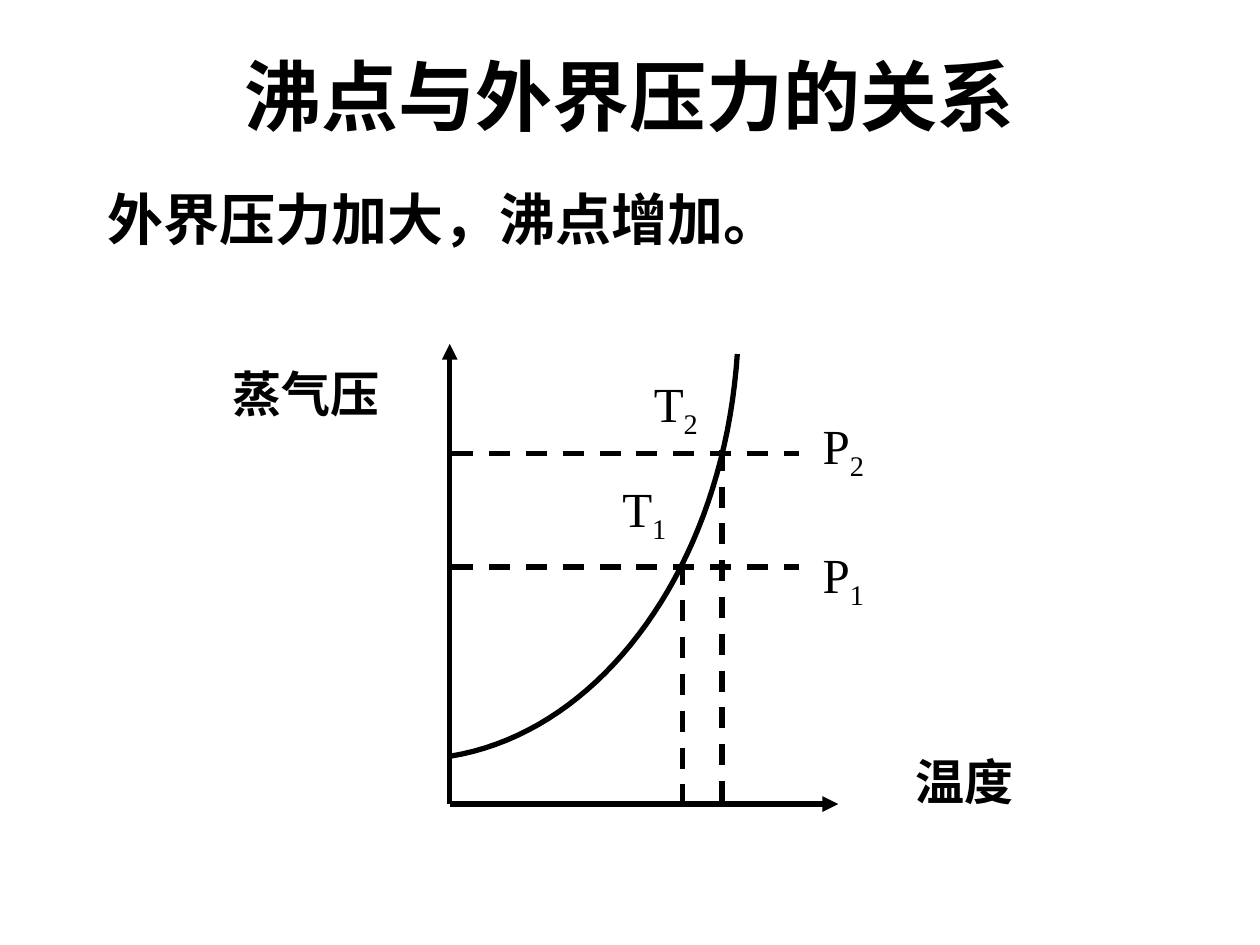
from dataclasses import dataclass

from lxml import etree
from pptx import Presentation
from pptx.dml.color import RGBColor
from pptx.enum.dml import MSO_LINE
from pptx.enum.shapes import MSO_CONNECTOR
from pptx.enum.text import MSO_ANCHOR, MSO_AUTO_SIZE, PP_ALIGN
from pptx.oxml.ns import qn
from pptx.util import Pt

STRAIGHT = MSO_CONNECTOR.STRAIGHT
DASH = MSO_LINE.DASH
TOP, MIDDLE = MSO_ANCHOR.TOP, MSO_ANCHOR.MIDDLE
LEFT, CENTER = PP_ALIGN.LEFT, PP_ALIGN.CENTER
FIT_SHAPE, NO_FIT = MSO_AUTO_SIZE.SHAPE_TO_FIT_TEXT, MSO_AUTO_SIZE.NONE


@dataclass(frozen=True)
class Theme:
    font: str = "Times New Roman"
    ink: RGBColor = RGBColor(0, 0, 0)
    title_size: int = 44
    body_size: int = 32
    label_size: int = 28
    line_width: int = 3


def set_all(target, values):
    for name, value in values.items():
        setattr(target, name, value)


class SlideBuilder:
    def __init__(self, page, theme):
        self.page = page
        self.theme = theme
        self.diagram = page.shapes.add_group_shape().shapes

    def add_span(self, para, text, size, bold, align=LEFT):
        set_all(para, {"alignment": align, "space_before": Pt(0)})
        span = para.add_run()
        span.text = text
        set_all(span.font, {"name": self.theme.font, "size": Pt(size), "bold": bold})
        span.font.color.rgb = self.theme.ink
        return span

    def placeholder(self, box, place, text, size, align, anchor):
        set_all(box, dict(zip(("left", "top", "width", "height"), map(Pt, place))))
        set_all(box.text_frame, {"vertical_anchor": anchor, "auto_size": NO_FIT})
        para = box.text_frame.paragraphs[0]
        properties = para._p.get_or_add_pPr()
        properties.set("marL", "0")
        properties.set("indent", "0")
        etree.SubElement(properties, qn("a:buNone"))
        self.add_span(para, text, size, True, align)

    def label(self, shapes, place, text, subscript=""):
        box = shapes.add_textbox(*map(Pt, place))
        set_all(box.text_frame, {"word_wrap": not subscript, "auto_size": FIT_SHAPE})
        para = box.text_frame.paragraphs[0]
        size = self.theme.label_size
        self.add_span(para, text, size, not subscript)
        if subscript:
            span = self.add_span(para, subscript, size, False)
            span._r.get_or_add_rPr().set("baseline", "-25000")

    def style_line(self, line):
        line.color.rgb = self.theme.ink
        line.width = Pt(self.theme.line_width)

    def line(self, start, end, dashed=False):
        connector = self.diagram.add_connector(STRAIGHT, *map(Pt, start + end))
        self.style_line(connector.line)
        if dashed:
            connector.line.dash_style = DASH
        else:
            etree.SubElement(connector.line._ln, qn("a:tailEnd"), type="triangle")
        etree.SubElement(connector._element.spPr, qn("a:effectLst"))

    def curve(self, controls, steps=40):
        """Draw a cubic Bezier curve as a fine open outline."""
        points = []
        for step in range(steps + 1):
            t = step / steps
            weights = ((1 - t) ** 3, 3 * t * (1 - t) ** 2, 3 * t * t * (1 - t), t ** 3)
            points.append(tuple(
                Pt(sum(w * value for w, value in zip(weights, axis)))
                for axis in zip(*controls)))
        builder = self.diagram.build_freeform(*points[0])
        builder.add_line_segments(points[1:], close=False)
        outline = builder.convert_to_shape()
        outline.shadow.inherit = False
        outline.fill.background()
        self.style_line(outline.line)


def main():
    deck = Presentation()
    set_all(deck, {"slide_width": Pt(720), "slide_height": Pt(540)})
    page = deck.slides.add_slide(deck.slide_layouts[1])
    theme = Theme()
    builder = SlideBuilder(page, theme)

    # Title and statement
    builder.placeholder(page.shapes.title, (54, 24, 612, 60),
                        "沸点与外界压力的关系", theme.title_size, CENTER, MIDDLE)
    builder.placeholder(page.placeholders[1], (54, 102, 588, 45),
                        "外界压力加大，沸点增加。", theme.body_size, LEFT, TOP)

    # Axis names
    builder.label(page.shapes, (126, 204, 102, 41), "蒸气压")
    builder.label(page.shapes, (516, 426, 78, 41), "温度")

    # Vapour pressure curve and axes
    origin_x, origin_y = 257, 459.5
    builder.curve([(258, 432), (345, 417.5), (413.5, 322), (421.3, 202.3)])
    builder.line((origin_x, origin_y), (origin_x, 196.5))
    builder.line((origin_x, origin_y), (479, origin_y))

    # Pressure levels with their boiling points: x, y, T and P label places
    levels = {
        "1": (390, 324, (348.5, 270), (463, 307.5)),
        "2": (412.5, 259, (366.5, 210), (463, 234)),
    }
    for number, (x, y, t_place, p_place) in levels.items():
        builder.line((258.5, y), (456.5, y), dashed=True)
        builder.line((x, y - 2), (x, origin_y), dashed=True)
        builder.label(builder.diagram, t_place + (39.5, 45), "T", number)
        builder.label(builder.diagram, p_place + (38, 45), "P", number)

    deck.save("out.pptx")


if __name__ == "__main__":
    main()
